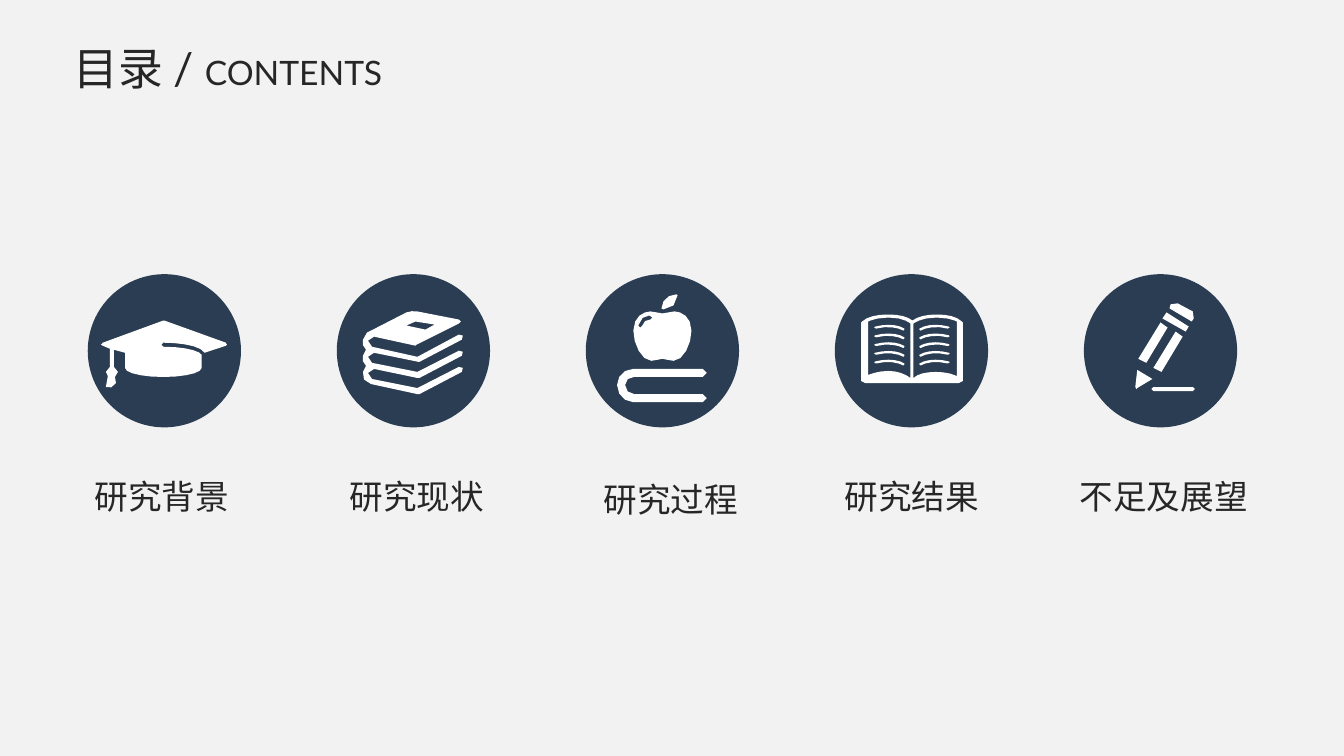
from math import ceil

from lxml import etree
from pptx import Presentation
from pptx.dml.color import RGBColor
from pptx.enum.shapes import MSO_SHAPE
from pptx.enum.text import MSO_AUTO_SIZE, PP_ALIGN
from pptx.oxml.ns import qn
from pptx.util import Inches, Pt

PAPER = RGBColor(0xF2, 0xF2, 0xF2)
NAVY = RGBColor(0x2A, 0x3D, 0x52)
WHITE = RGBColor(0xFF, 0xFF, 0xFF)
INK = RGBColor(0x26, 0x26, 0x26)
LATIN, CHINESE = "Lato", "Noto Sans CJK SC"

# Icons are lists of outlines, in hundredths of an inch from the disc's corner.
# Two numbers are a corner; six are a curve: two control points and an end.
CAP = [
    [(15, 68), (75, 46), (76, 46), (137, 68), (138, 70), (137, 71), (116, 78),
     (112, 71, 92, 68, 75, 68), (73, 70), (75, 72), (96, 72, 111, 76, 113, 80),
     (113, 93), (113, 98, 96, 102, 75, 102), (54, 102, 37, 98, 37, 93), (37, 78),
     (26, 75), (26, 92), (29, 92, 30, 94, 30, 97), (30, 99, 29, 101, 27, 102),
     (28, 108), (29, 111, 18, 115, 18, 112), (20, 101), (19, 100, 18, 99, 18, 97),
     (18, 94, 20, 92, 22, 92), (22, 74), (15, 71), (13, 70)],
]
BOOK_STACK = [
    [(80, 103), (82, 103), (124, 81), (125, 77), (121, 76), (80, 97), (35, 88),
     (32, 87, 31, 85, 31, 82), (32, 79, 34, 77, 37, 78), (81, 87), (82, 87), (124, 65),
     (125, 61), (121, 60), (80, 82), (35, 72), (32, 71, 31, 69, 31, 66),
     (32, 63, 34, 62, 37, 62), (78, 71), (79, 70), (121, 49), (123, 47), (121, 45),
     (80, 37), (77, 36, 72, 37, 69, 38), (32, 57), (30, 58), (28, 59, 26, 62, 26, 65),
     (25, 69, 26, 72, 29, 75), (27, 76, 26, 78, 26, 81), (25, 85, 26, 88, 29, 91),
     (27, 92, 26, 94, 26, 97), (24, 102, 28, 108, 34, 109), (80, 119), (82, 119),
     (124, 97), (125, 93), (121, 92), (80, 113), (35, 104), (32, 103, 31, 100, 31, 98),
     (32, 95, 34, 93, 37, 94)],
    [(78, 47), (97, 50), (88, 55), (69, 51)],
]
APPLE_ON_BOOK = [
    [(120, 123), (120, 125, 118, 127, 116, 127), (47, 127), (38, 127, 31, 119, 31, 110),
     (31, 101, 38, 94, 47, 94), (116, 94), (118, 94, 120, 96, 120, 98),
     (120, 100, 118, 102, 116, 102), (48, 102), (43, 102, 39, 105, 39, 110),
     (39, 115, 43, 119, 48, 119), (116, 119), (118, 119, 120, 121, 120, 123)],
    [(77, 35), (85, 35, 91, 29, 91, 21), (90, 20), (82, 20, 75, 26, 75, 34)],
    [(103, 47), (100, 40, 93, 37, 88, 37), (82, 37, 81, 39, 76, 39),
     (71, 39, 70, 37, 64, 37), (59, 37, 52, 40, 49, 47), (43, 60, 53, 86, 65, 86),
     (70, 86, 72, 84, 76, 84), (80, 84, 82, 86, 87, 86), (99, 86, 109, 60, 103, 47)],
    [(64, 45), (61, 45, 56, 47, 56, 51), (54, 53), (52, 51), (53, 44, 59, 41, 63, 41),
     (66, 43)],
]
BOOK_PAGES = [
    [(126, 47), (121, 42, 112, 40, 101, 40), (91, 40, 82, 42, 77, 46),
     (72, 42, 64, 40, 53, 40), (42, 40, 32, 42, 27, 47), (26, 48), (26, 106), (30, 108),
     (123, 108), (127, 106), (127, 48)],
    [(75, 49), (75, 103), (70, 99, 62, 96, 53, 96), (45, 96, 38, 98, 33, 100), (33, 47),
     (33, 47, 40, 43, 53, 43), (69, 43, 75, 49, 75, 49)],
    [(121, 47), (121, 101), (115, 98, 107, 97, 100, 97), (90, 97, 82, 99, 78, 103),
     (78, 49), (78, 49, 85, 43, 101, 43), (114, 43, 121, 47, 121, 47)],
]
TEXT_LINE = [(68, 56), (63, 53, 52, 51, 41, 54), (39, 53), (40, 52),
             (51, 49, 63, 50, 69, 54), (69, 55)]
TEXT_ROWS, ROW_PITCH, PAGE_MIRROR = 5, 8.65, 153
PENCIL = [
    [(86, 30), (88, 28, 91, 27, 93, 29), (108, 37), (110, 39, 111, 42, 109, 44),
     (107, 47), (85, 34)],
    [(82, 38), (78, 44), (101, 57), (104, 52)],
    [(51, 112), (53, 95), (68, 104), (53, 113), (52, 114)],
    [(54, 84), (76, 48), (83, 53), (62, 88)],
    [(69, 93), (91, 57), (98, 62), (77, 97)],
    [(69, 112), (108, 112), (110, 114), (108, 116), (69, 116), (67, 114)],
]


def moved(outline, dy, mirror=None):
    """Shift an outline down, and flip it left to right when mirror is given."""
    return [tuple(v + dy if i % 2 else (v if mirror is None else mirror - v)
                  for i, v in enumerate(step)) for step in outline]


OPEN_BOOK = BOOK_PAGES + [moved(TEXT_LINE, row * ROW_PITCH, mirror)
                          for mirror in (None, PAGE_MIRROR) for row in range(TEXT_ROWS)]

# Chapter, icon, left and top of the label
CHAPTERS = [
    ("研究背景", CAP, 0.84, 4.67),
    ("研究现状", BOOK_STACK, 3.37, 4.67),
    ("研究过程", APPLE_ON_BOOK, 5.89, 4.70),
    ("研究结果", OPEN_BOOK, 8.28, 4.67),
    ("不足及展望", PENCIL, 10.61, 4.67),
]
HEADING = [("目录 / ", 32), ("CONTENTS", 24)]
DISC_LEFT, DISC_TOP, DISC_SIZE, DISC_PITCH = 0.87, 2.72, 1.52, 2.47
LABEL_HEIGHT, GLYPH_WIDTH, LABEL_PADDING = 0.5, 0.335, 0.2
CHORD, MOST_CHORDS = 7, 5


def flatten(outline):
    """Turn corners and cubic curves into points, with more for longer curves."""
    points = []
    for step in outline:
        if len(step) == 2:
            points.append(step)
            continue
        start, controls = points[-1], (step[:2], step[2:4], step[4:])
        span = max(abs(step[4] - start[0]), abs(step[5] - start[1]))
        chords = min(MOST_CHORDS, ceil(span / CHORD))
        for n in range(1, chords + 1):
            t = n / chords
            weights = ((1 - t) ** 3, 3 * t * (1 - t) ** 2, 3 * t * t * (1 - t), t ** 3)
            points.append(tuple(sum(w * p[axis] for w, p in zip(weights, (start, *controls)))
                                for axis in (0, 1)))
    return points


def paint(shape, color):
    shape.shadow.inherit = False
    shape.fill.solid()
    shape.fill.fore_color.rgb = color
    shape.line.fill.background()


def add_icon(shapes, outlines, left, top):
    contours = [[(Inches(left + x / 100), Inches(top + y / 100)) for x, y in flatten(outline)]
                for outline in outlines]
    builder = shapes.build_freeform(*contours[0][0])
    for number, points in enumerate(contours):
        if number:
            builder.move_to(*points[0])
        builder.add_line_segments(points[1:], close=True)
    paint(builder.convert_to_shape(), WHITE)


def style(font, latin, size):
    font.name, font.size = latin, Pt(size)
    font.color.rgb = INK
    east_asian = etree.Element(qn("a:ea"), typeface=CHINESE)
    font._element.find(qn("a:latin")).addnext(east_asian)


def add_text(slide, box, runs, latin, wrap, align):
    frame = slide.shapes.add_textbox(*map(Inches, box)).text_frame
    frame.word_wrap = wrap
    frame.auto_size = MSO_AUTO_SIZE.SHAPE_TO_FIT_TEXT
    paragraph = frame.paragraphs[0]
    paragraph.alignment = align
    for text, size in runs:
        run = paragraph.add_run()
        run.text = text
        style(run.font, latin, size)


def main():
    deck = Presentation()
    deck.slide_width, deck.slide_height = Inches(13.33), Inches(7.5)
    slide = deck.slides.add_slide(deck.slide_layouts[6])
    slide.background.fill.solid()
    slide.background.fill.fore_color.rgb = PAPER

    for column, (chapter, icon, label_left, label_top) in enumerate(CHAPTERS):
        disc_left = DISC_LEFT + column * DISC_PITCH
        badge = slide.shapes.add_group_shape().shapes
        paint(badge.add_shape(MSO_SHAPE.OVAL, Inches(disc_left), Inches(DISC_TOP),
                              Inches(DISC_SIZE), Inches(DISC_SIZE)), NAVY)
        add_icon(badge, icon, disc_left, DISC_TOP)
        label_width = len(chapter) * GLYPH_WIDTH + LABEL_PADDING
        add_text(slide, (label_left, label_top, label_width, LABEL_HEIGHT),
                 [(chapter, 24)], CHINESE, False, PP_ALIGN.LEFT)

    add_text(slide, (0.26, 0.36, 4, 0.64), HEADING, LATIN, True, PP_ALIGN.CENTER)
    deck.save("out.pptx")


if __name__ == "__main__":
    main()
